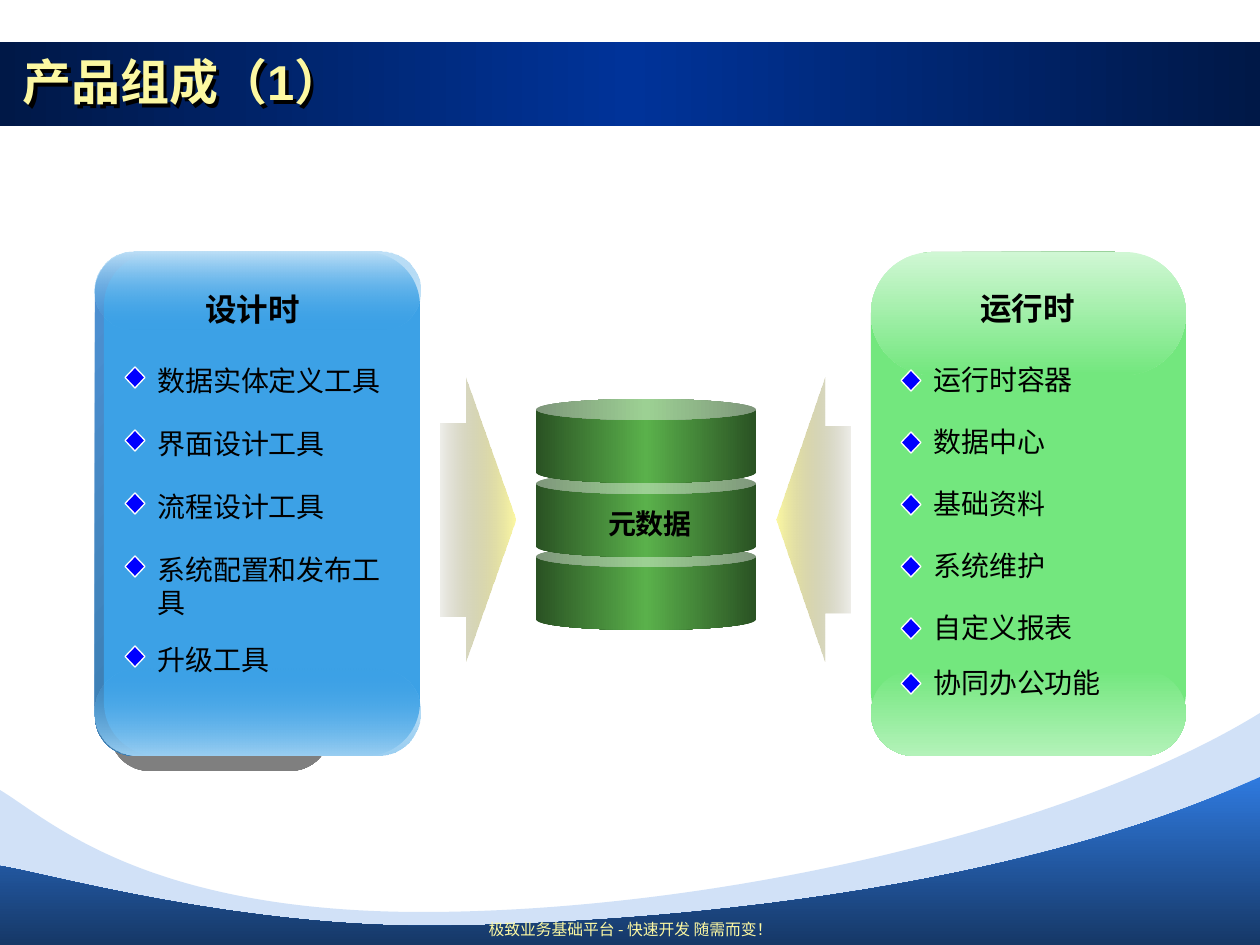
from lxml import etree
from pptx import Presentation
from pptx.dml.color import RGBColor
from pptx.enum import shapes, text
from pptx.oxml import parse_xml
from pptx.oxml.ns import nsdecls, qn
from pptx.util import Inches, Pt

SCALE = Inches(1) / 126
KIND = shapes.MSO_SHAPE
CREAM, BLACK = "FCF8A2", "000000"
LATIN, ASIAN = "Arial", "Noto Sans CJK SC"


def px(n):
    return round(n * SCALE)


def hue(code):
    return RGBColor.from_string(code)


def shade(item, dist, alpha):
    """Give a shape a black shadow down to the right."""
    item.shadow.inherit = False
    props = item._element.spPr
    props.replace(props.find(qn("a:effectLst")), parse_xml(
        f'<a:effectLst {nsdecls("a")}><a:outerShdw blurRad="0" dist="{Pt(dist)}" '
        f'dir="2700000" algn="ctr" rotWithShape="0"><a:srgbClr val="000000">'
        f'<a:alpha val="{alpha * 1000}"/></a:srgbClr></a:outerShdw></a:effectLst>'))


def bend(item):
    """Turn the straight segments between the first and last into cubic curves."""
    lines = list(item._element.iter(qn("a:lnTo")))[1:-1]
    for i in range(0, len(lines), 3):
        cubic = etree.Element(qn("a:cubicBezTo"))
        lines[i].addprevious(cubic)
        for line in lines[i:i + 3]:
            cubic.append(line[0])
            line.getparent().remove(line)


def write(frame, words, size=16, color=BLACK, bold=False, align="LEFT"):
    """Fill a frame with one paragraph; words is a string or (string, font) pairs."""
    para = frame.paragraphs[0]
    para.alignment = getattr(text.PP_ALIGN, align)
    for part, face in [(words, LATIN)] if isinstance(words, str) else words:
        run = para.add_run()
        run.text = part
        font = run.font
        font.size, font.bold, font.name = Pt(size), bold, face
        font.color.rgb = hue(color)
        asian = etree.Element(qn("a:ea"), typeface=ASIAN)
        run._r.get_or_add_rPr().find(qn("a:latin")).addnext(asian)


class Deck:
    def __init__(self):
        self.prs = Presentation()
        self.prs.slide_width, self.prs.slide_height = px(1260), px(945)
        self.slide = self.prs.slides.add_slide(self.prs.slide_layouts[6])

    def paint(self, item, fill, angle=0, line=None):
        """fill is a hex string, or a list of (position, hex, alpha) stops."""
        item.shadow.inherit = False
        if line:
            item.line.color.rgb = hue(line)
            item.line.width = Pt(0.75)
        else:
            item.line.fill.background()
        item.fill.solid()
        if isinstance(fill, str):
            item.fill.fore_color.rgb = hue(fill)
            return item
        stops = "".join(
            f'<a:gs pos="{pos * 1000}"><a:srgbClr val="{code}">'
            f'<a:alpha val="{alpha * 1000}"/></a:srgbClr></a:gs>'
            for pos, code, alpha in fill)
        props = item._element.spPr
        props.replace(props.find(qn("a:solidFill")), parse_xml(
            f'<a:gradFill rotWithShape="1" {nsdecls("a")}><a:gsLst>{stops}</a:gsLst>'
            f'<a:lin ang="{angle * 60000}" scaled="0"/></a:gradFill>'))
        return item

    def shape(self, kind, x, y, w, h, fill, angle=0, adj=(), line=None):
        item = self.slide.shapes.add_shape(kind, px(x), px(y), px(w), px(h))
        for i, value in enumerate(adj):
            item.adjustments[i] = value
        return self.paint(item, fill, angle, line)

    def wave(self, pts, fill, angle=0):
        """pts is the start of the crest, then three points per cubic curve."""
        build = self.slide.shapes.build_freeform(0, 945, scale=SCALE)
        build.add_line_segments(pts + [(1260, 945)], close=True)
        item = build.convert_to_shape()
        bend(item)
        return self.paint(item, fill, angle)

    def label(self, x, y, w, h, words, middle=False, **form):
        box = self.slide.shapes.add_textbox(px(x), px(y), px(w), px(h))
        frame = box.text_frame
        frame.word_wrap = True
        if middle:
            frame.vertical_anchor = text.MSO_ANCHOR.MIDDLE
        write(frame, words, **form)
        return box

    def items(self, x, w, drop, rows):
        for y, words in rows:
            self.label(x, y, w, 47, words)
            self.shape(KIND.DIAMOND, x - 20, y + drop, 20, 21, "0000FF", line="FFFFFF")


def fade(a, b, start=100, end=100):
    return [(0, a, start), (100, b, end)]


def band(edge, core):
    return [(0, edge, 100), (50, core, 100), (100, edge, 100)]


def main():
    deck = Deck()

    # Title bar and waves
    deck.shape(KIND.RECTANGLE, 0, 42, 1260, 84, band("001847", "003399"))
    deck.wave([(0, 790), (50, 820), (146, 914), (432, 912),
               (718, 910), (1070, 830), (1260, 713)],
              fade("2F7ADF", "2F7ADF", 22, 22))
    deck.wave([(0, 866), (45, 873), (234, 927), (436, 926),
               (638, 924), (1004, 896), (1260, 777)],
              fade("2F7ADF", "163867"), 90)
    deck.label(431, 914, 399, 32,
               [("极致业务基础平台 ", LATIN), ("- ", ASIAN), ("快速开发 随需而变！", LATIN)],
               size=9, color=CREAM, align="CENTER")
    title = deck.label(10, 42, 955, 78, "产品组成（1）", middle=True,
                       size=28, color=CREAM, bold=True)
    shade(title, 3, 100)

    # Metadata store, bottom disc first
    for y in (546, 473, 399):
        deck.shape(KIND.CAN, 536, y, 220, 84, band("2A5223", "5AB14B"), adj=[0.25])

    # Arrows pointing at the store
    deck.shape(KIND.LEFT_ARROW, 777, 378, 74, 284,
               fade(CREAM, "75734B", 100, 12), adj=[0.66, 0.65])
    deck.shape(KIND.RIGHT_ARROW, 441, 378, 74, 284,
               fade("75734B", CREAM, 12, 100), adj=[0.68, 0.66])

    # Design-time panel
    card = KIND.ROUNDED_RECTANGLE
    back = deck.shape(card, 95, 252, 220, 504, fade("4E91D4", "3477A4"), 45, [0.18])
    shade(back, 12.1, 50)
    deck.shape(card, 104, 252, 316, 504, "3CA1E6", adj=[0.17])
    deck.shape(card, 95, 669, 325, 87, fade("3CA1E6", "9BCFF2", 0), 90, [0.5])
    deck.shape(card, 95, 252, 325, 78, fade("BEE0F7", "3CA1E6", 100, 0), 90, [0.5])
    tools = ["数据实体定义工具", "界面设计工具", "流程设计工具", "系统配置和发布工具"]
    rows = [(357 + 63 * i, words) for i, words in enumerate(tools)]
    deck.items(145, 275, 10, rows + [(636, "升级工具")])
    deck.label(115, 284, 275, 50, "设计时", size=18, bold=True, align="CENTER")

    # Run-time panel
    deck.shape(card, 883, 252, 281, 469, fade("34B034", "3F8B4A"), 45, [0.18])
    deck.shape(card, 871, 261, 315, 485, "73E77E", adj=[0.17])
    deck.shape(card, 871, 670, 315, 86, fade("73E77E", "B3F2B9"), 90, [0.5])
    deck.shape(card, 871, 252, 315, 123, fade("D0F7D4", "73E77E"), 90, [0.5])
    parts = ["运行时容器", "数据中心", "基础资料", "系统维护", "自定义报表"]
    rows = [(356 + 62 * i, words) for i, words in enumerate(parts)]
    deck.items(921, 266, 14, rows + [(659, "协同办公功能")])
    deck.label(890, 283, 275, 50, "运行时", size=18, bold=True, align="CENTER")

    # Store caption
    deck.label(544, 500, 212, 47, "元数据", bold=True, align="CENTER")

    deck.prs.save("out.pptx")


if __name__ == "__main__":
    main()
